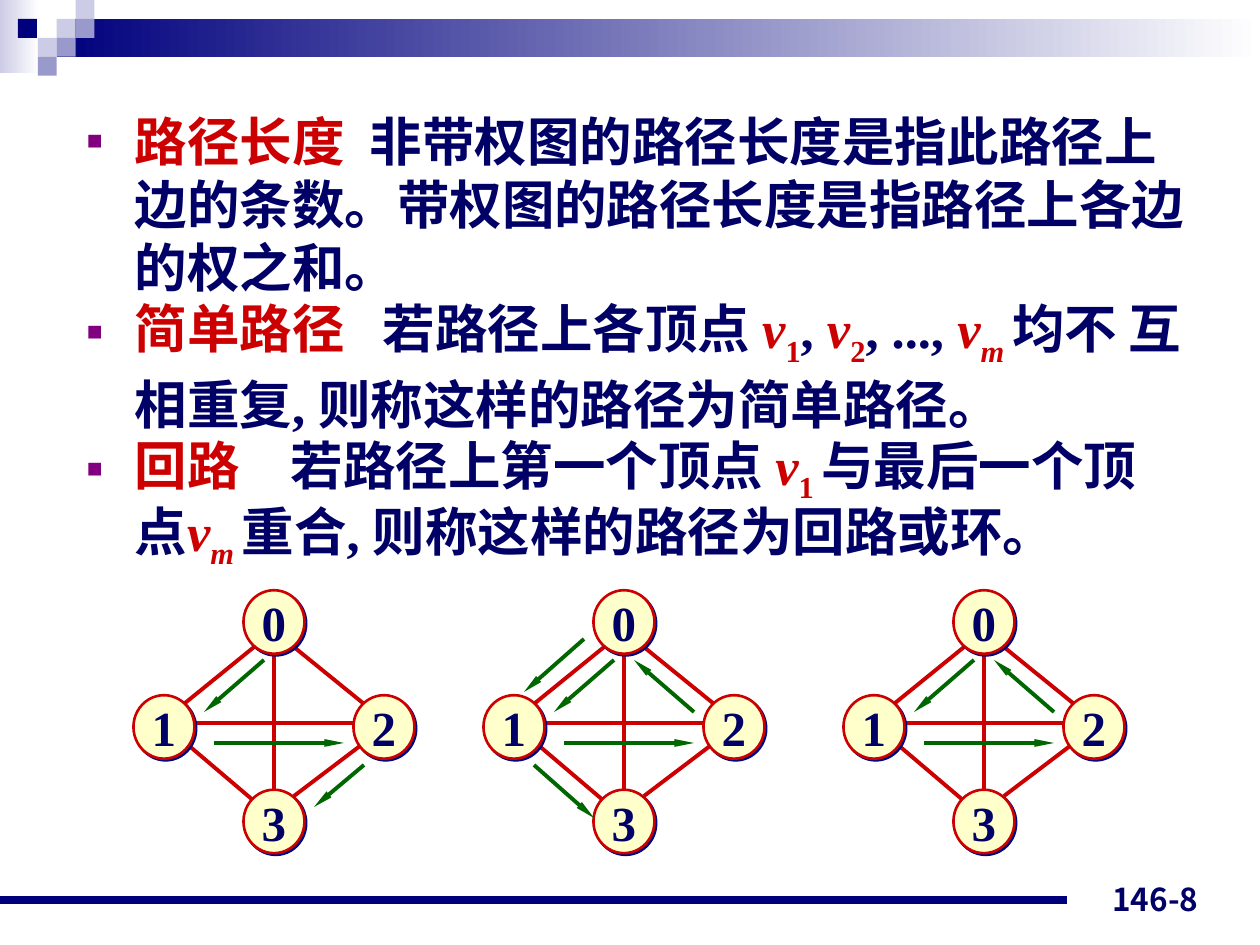
from dataclasses import dataclass

from lxml.etree import SubElement
from pptx import Presentation
from pptx.dml.color import RGBColor as RGB
from pptx.enum.shapes import MSO_CONNECTOR as Connector, MSO_SHAPE as Shape
from pptx.enum.text import MSO_ANCHOR as Anchor, PP_ALIGN as Align
from pptx.oxml.ns import qn
from pptx.util import Inches, Pt


@dataclass(frozen=True)
class Theme:
    navy: str = "00007D"
    ink: str = "000066"
    red: str = "CC0000"
    green: str = "006600"
    purple: str = "800080"
    cream: str = "FFFFCC"
    lavender: str = "CCCCE6"
    violet: str = "9999CC"
    white: str = "FFFFFF"
    serif: str = "Times New Roman"
    sans: str = "Noto Sans CJK JP"
    body_size: float = 30
    node_size: float = 28
    page_size: float = 18


theme = Theme()
prs = Presentation()
prs.slide_width, prs.slide_height = Inches(10), Inches(7.5)
W, H = prs.slide_width, prs.slide_height
TILE = W * 0.015  # header tiles
CELL = W / 126    # graph grid
slide = prs.slides.add_slide(prs.slide_layouts[6])
shapes = slide.shapes


def write(paragraph, text, size, color=theme.ink, font=theme.serif,
          italic=False, lowered=False, spacing=0):
    """Add a bold run; lowered makes a subscript, spacing is in points."""
    run = paragraph.add_run()
    run.text = text
    run.font.size, run.font.bold, run.font.italic = Pt(size), True, italic
    run.font.name = font
    run.font.color.rgb = RGB.from_string(color)
    props = run.font._element
    SubElement(props, qn("a:ea"), typeface=theme.sans)
    if lowered:
        props.set("baseline", "-25000")
    if spacing:
        props.set("spc", str(int(spacing * 100)))


def draw_line(x1, y1, x2, y2, color, width, arrow=False):
    line = shapes.add_connector(Connector.STRAIGHT, int(x1), int(y1), int(x2), int(y2))
    line.line.color.rgb = RGB.from_string(color)
    line.line.width = Pt(width)
    if arrow:
        SubElement(line.line._get_or_add_ln(), qn("a:tailEnd"), type="triangle", w="sm", len="lg")
    SubElement(line._element.spPr, qn("a:effectLst"))


# Header: two fading bars, then the mosaic, in tiles (left, top, width, height)
header = [
    (0, 0, 2.07, 3.87, (theme.lavender, theme.white)),
    (3, 1, 63.67, 2, (theme.navy, theme.white)),
    (3, 1, 1, 1, (theme.lavender,)),
    (4, 0, 1, 1, (theme.lavender,)),
    (4, 1, 1, 1, (theme.violet,)),
    (2, 2, 1, 1, (theme.lavender,)),
    (0.95, 1, 1, 1, (theme.navy,)),
    (3, 2, 1, 1, (theme.violet,)),
    (2, 3, 1, 1, (theme.violet,)),
]
for *frame, colors in header:
    tile = shapes.add_shape(Shape.RECTANGLE, *(int(v * TILE) for v in frame))
    tile.shadow.inherit = False
    tile.line.fill.background()
    if len(colors) == 1:
        tile.fill.solid()
        tile.fill.fore_color.rgb = RGB.from_string(colors[0])
    else:
        tile.fill.gradient()
        tile.fill.gradient_angle = 0
        for stop, color in zip(tile.fill.gradient_stops, colors):
            stop.color.rgb = RGB.from_string(color)

# Footer
draw_line(0, H * 0.952, W * 0.847, H * 0.952, theme.navy, 4.5)
page = shapes.add_textbox(int(W * 0.728), int(H * 0.911), int(W * 0.233), int(H * 0.067)).text_frame
page.word_wrap = True
page.vertical_anchor = Anchor.BOTTOM
page.paragraphs[0].alignment = Align.RIGHT
write(page.paragraphs[0], "146-8", theme.page_size, font=theme.sans)

# Definitions: each part is text and its format
term = dict(color=theme.red)
var = dict(color=theme.red, italic=True)
index = dict(color=theme.red, lowered=True)
var_index = dict(index, italic=True)
definitions = [
    (36, [("路径长度", term), (" ", dict(spacing=7.5)),
          ("非带权图的路径长度是指此路径上边的条数。带权图的路径长度是指路径上各边的权之和。", {})]),
    (38, [("简单路径", term), (" ", dict(spacing=15)), ("若路径上各顶点 ", {}),
          ("v", var), ("1", index), (", ", {}), ("v", var), ("2", index),
          (", ..., ", {}), ("v", var), ("m ", var_index),
          ("均不 互相重复, 则称这样的路径为简单路径。", {})]),
    (38, [("回路", term), (" ", dict(spacing=22.5)), ("若路径上第一个顶点 ", {}),
          ("v", var), ("1 ", index), ("与最后一个顶点", {}), ("v", var),
          ("m ", var_index), ("重合, 则称这样的路径为回路或环。", {})]),
]
body = shapes.add_textbox(int(W * 0.059), int(H * 0.109), int(W * 0.892), int(H * 0.523)).text_frame
body.word_wrap = True
for number, (pitch, parts) in enumerate(definitions):
    entry = body.add_paragraph() if number else body.paragraphs[0]
    entry.line_spacing = Pt(pitch)
    entry.space_before = Pt(1.9 if number else 0)
    props = entry._p.get_or_add_pPr()
    props.set("marL", str(Inches(0.38)))
    props.set("indent", str(-Inches(0.38)))
    SubElement(SubElement(props, qn("a:buClr")), qn("a:srgbClr"), val=theme.purple)
    SubElement(props, qn("a:buSzPct"), val="50000")
    SubElement(props, qn("a:buFont"), typeface=theme.serif)
    SubElement(props, qn("a:buChar"), char="■")
    for text, style in parts:
        write(entry, text, theme.body_size, **style)

# Graphs: cells measured from the centre column and the horizontal edge's row
edges = [(-10, 1, 0, 9.5), (1, -8.4, 10, -1.1), (9, 2, 2, 7.3),
         (-1, -8.4, -10, -1.1), (-9, 0, 9, 0), (0, -8, 0, 10.5)]
nodes = {"1": (-11, 0.4), "2": (11, 0.4), "0": (0, -10.1), "3": (0, 9.85)}
NODE_W, NODE_H = 6.1, 6.35
CENTRE_ROW = 72.3
zero_to_one = (-1, -6.3, -7, -1.1)
one_to_two = (-6, 2, 7, 2)
two_to_zero = (7, -1.1, 1, -6.3)
graphs = [
    (27.4, [zero_to_one, one_to_two, (9, 4.2, 4, 8.4)]),
    (62.4, [zero_to_one, one_to_two, (-4, -8.4, -10, -3.1), two_to_zero, (-9, 4.2, -3, 9.5)]),
    (98.4, [zero_to_one, one_to_two, two_to_zero]),
]
for centre, steps in graphs:
    origin = (centre, CENTRE_ROW) * 2
    for edge in edges:
        draw_line(*((o + v) * CELL for o, v in zip(origin, edge)), theme.red, 2.25)

    for label, (dx, dy) in nodes.items():
        node = shapes.add_shape(
            Shape.OVAL, int((centre + dx - NODE_W / 2) * CELL),
            int((CENTRE_ROW + dy - NODE_H / 2) * CELL), int(NODE_W * CELL), int(NODE_H * CELL))
        node.fill.solid()
        node.fill.fore_color.rgb = RGB.from_string(theme.cream)
        node.line.color.rgb = RGB.from_string(theme.red)
        node.line.width = Pt(1.5)
        node.shadow.inherit = False
        shadow = SubElement(node._element.spPr.find(qn("a:effectLst")), qn("a:outerShdw"),
                            dist=str(Pt(1.4)), dir="2700000", algn="ctr", rotWithShape="0")
        SubElement(shadow, qn("a:srgbClr"), val=theme.navy)
        frame = node.text_frame
        frame.margin_left = frame.margin_right = frame.margin_top = frame.margin_bottom = 0
        frame.word_wrap = False
        frame.vertical_anchor = Anchor.MIDDLE
        frame.paragraphs[0].alignment = Align.CENTER
        write(frame.paragraphs[0], label, theme.node_size)

    for step in steps:
        draw_line(*((o + v) * CELL for o, v in zip(origin, step)), theme.green, 2.25, arrow=True)

prs.save("out.pptx")
